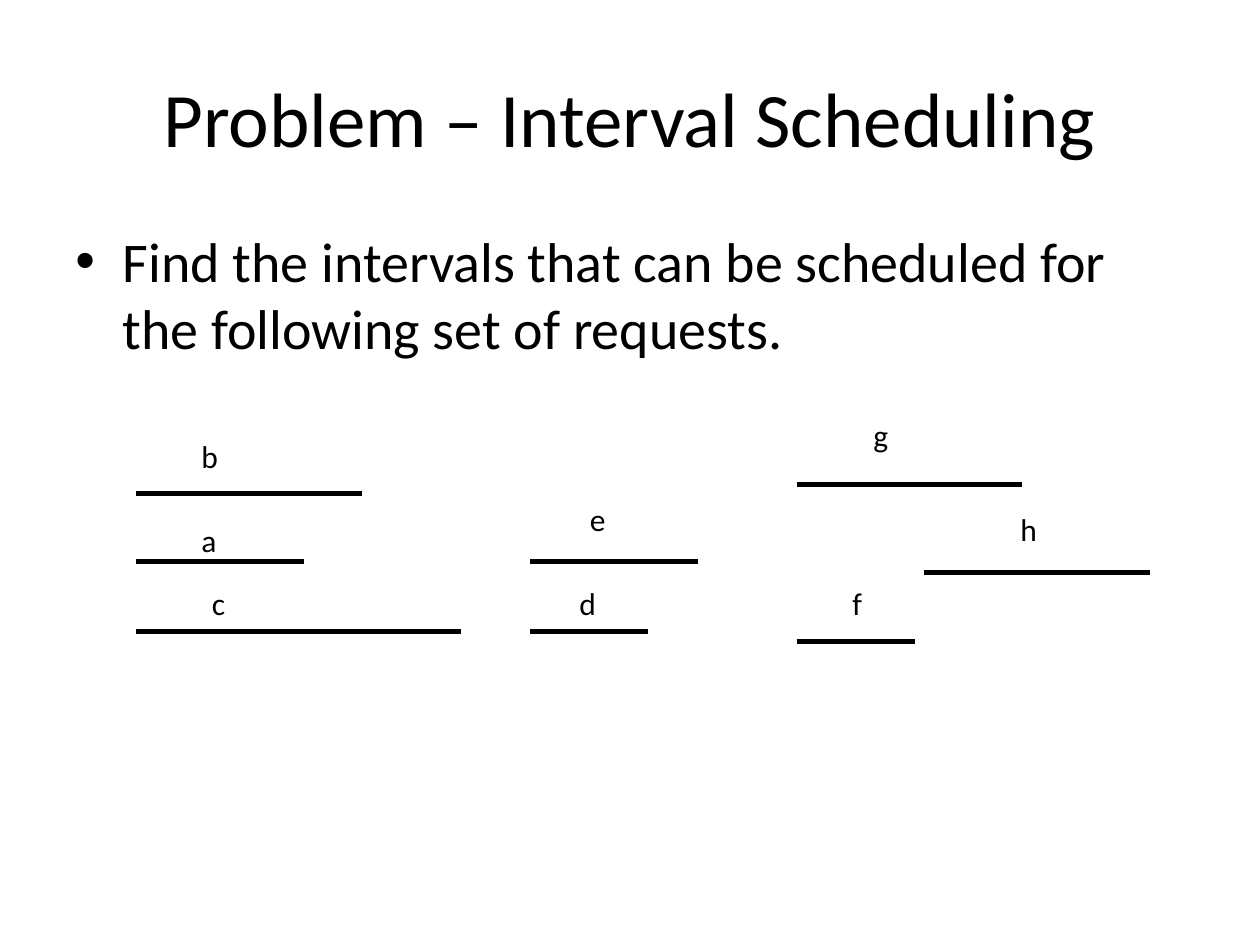
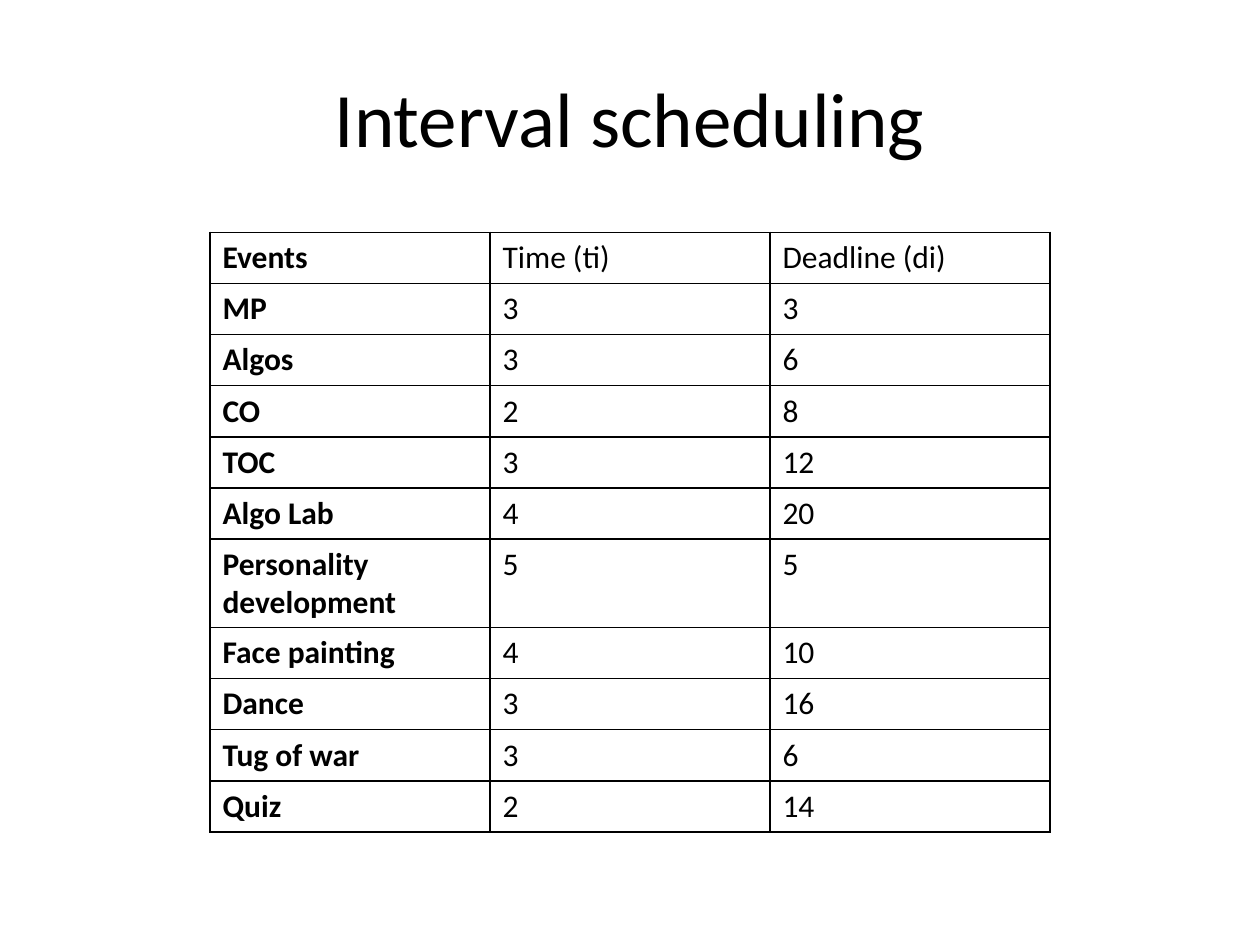
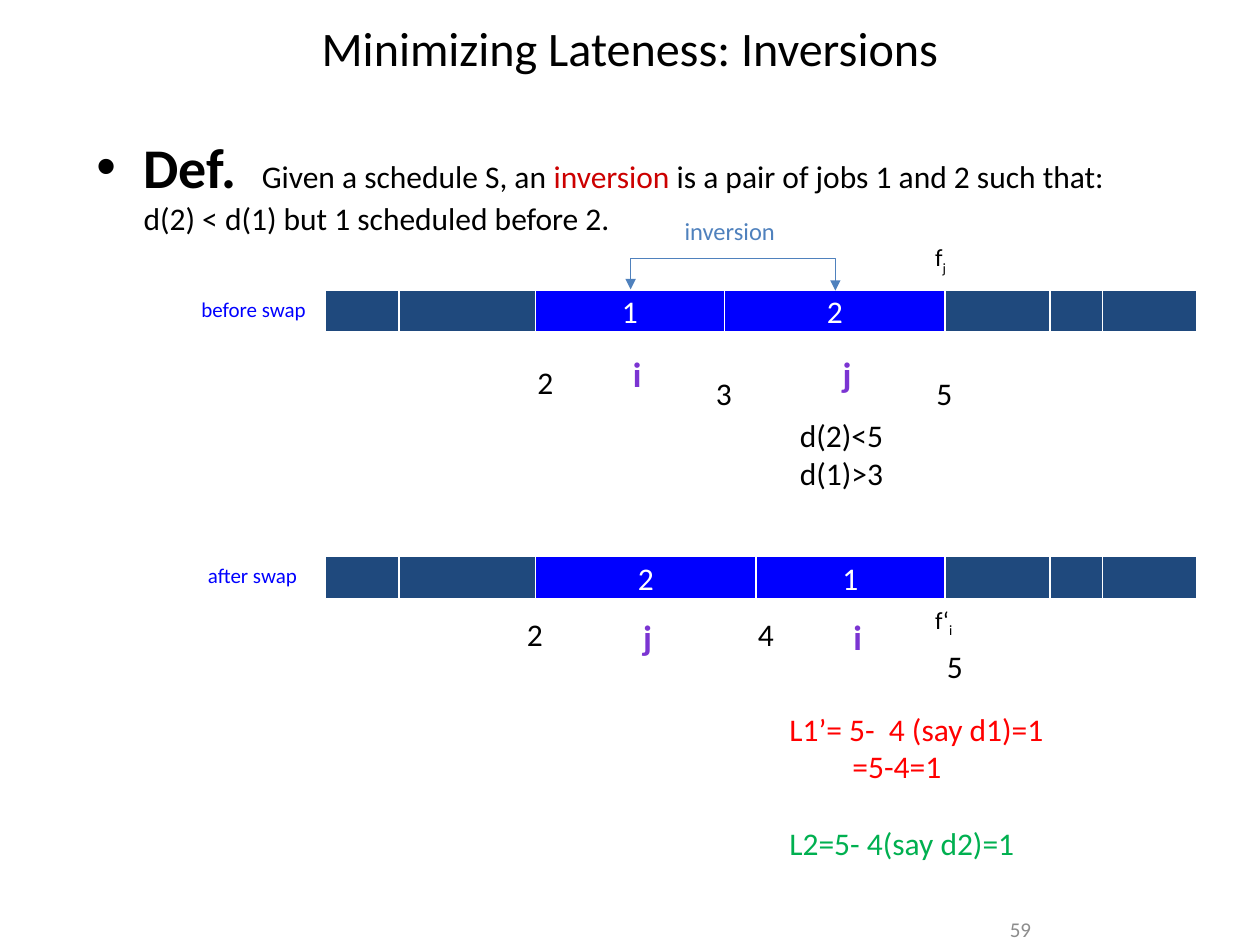
from lxml.etree import SubElement
from pptx import Presentation
from pptx.dml.color import RGBColor
from pptx.enum.shapes import MSO_CONNECTOR, MSO_SHAPE
from pptx.enum.text import MSO_ANCHOR, MSO_AUTO_SIZE, PP_ALIGN
from pptx.oxml.ns import qn
from pptx.util import Pt

PX = 9525
FONT = "Calibri"
BLACK, WHITE, GRAY = "000000", "FFFFFF", "8C8C8C"
NAVY, BLUE, STEEL = "1F497D", "0000FF", "4F81BD"
RED, DARK_RED, GREEN, PURPLE = "FF0000", "CC0000", "00B050", "7B34D2"
rgb = RGBColor.from_string
TITLE = {"size": 44, "align": PP_ALIGN.CENTER}
TITLE_BOX = (48, 29, 864, 120)


def write(tf, paragraphs, size=18, color=BLACK, bold=False, align=PP_ALIGN.LEFT, bullet=False):
    for i, runs in enumerate(paragraphs):
        p = tf.paragraphs[0] if i == 0 else tf.add_paragraph()
        p.alignment = align
        if bullet:
            pPr = p._p.get_or_add_pPr()
            pPr.set("marL", str(36 * PX))
            pPr.set("indent", str(-36 * PX))
            SubElement(pPr, qn("a:buFont")).set("typeface", "Arial")
            SubElement(pPr, qn("a:buChar")).set("char", "•")
        for text, own in [(runs, {})] if isinstance(runs, str) else runs:
            fmt = {"size": size, "color": color, "bold": bold, **own}
            for j, part in enumerate(text.split("\n")):
                if j:
                    p.add_line_break()
                r = p.add_run()
                r.text = part
                for name, value in {"name": FONT, "size": Pt(fmt["size"]), "bold": fmt["bold"]}.items():
                    setattr(r.font, name, value)
                r.font.color.rgb = rgb(fmt["color"])
                if "baseline" in fmt:
                    r._r.get_or_add_rPr().set("baseline", str(fmt["baseline"]))


def add_text(s, box, paragraphs, wrap=True, anchor=MSO_ANCHOR.TOP, **fmt):
    tf = s.shapes.add_textbox(*[v * PX for v in box]).text_frame
    tf.word_wrap = wrap
    tf.vertical_anchor = anchor
    if not wrap:
        tf.auto_size = MSO_AUTO_SIZE.SHAPE_TO_FIT_TEXT
    write(tf, paragraphs, **fmt)
    return tf


prs = Presentation()
prs.slide_width, prs.slide_height = 960 * PX, 720 * PX
blank = prs.slide_layouts[6]

s = prs.slides.add_slide(blank)
add_text(s, TITLE_BOX, ["Problem – Interval Scheduling"], anchor=MSO_ANCHOR.MIDDLE, **TITLE)
add_text(s, (48, 168, 864, 475),
         ["Find the intervals that can be scheduled for the following set of requests."],
         size=32, bullet=True)
intervals = [
    ("a", 104, 232, 428, 144, 392),
    ("b", 104, 276, 376, 144, 328),
    ("c", 104, 351, 481, 152, 440),
    ("d", 404, 494, 481, 432, 440),
    ("e", 404, 532, 428, 440, 376),
    ("f", 607, 697, 489, 640, 440),
    ("g", 607, 779, 369, 656, 312),
    ("h", 704, 876, 436, 768, 384),
]
for name, start, finish, y, label_x, label_y in intervals:
    line = s.shapes.add_connector(MSO_CONNECTOR.STRAIGHT, start * PX, y * PX, finish * PX, y * PX)
    line.line.color.rgb = rgb(BLACK)
    line.line.width = Pt(3)
    SubElement(line._element.spPr, qn("a:effectLst"))
    add_text(s, (label_x, label_y, 32, 38), [name], wrap=False)

s = prs.slides.add_slide(blank)
add_text(s, TITLE_BOX, ["Interval scheduling"], anchor=MSO_ANCHOR.MIDDLE, **TITLE)
events = [
    ("Events", "Time (ti)", "Deadline (di)"),
    ("MP", 3, 3),
    ("Algos", 3, 6),
    ("CO", 2, 8),
    ("TOC", 3, 12),
    ("Algo Lab", 4, 20),
    ("Personality development", 5, 5),
    ("Face painting", 4, 10),
    ("Dance", 3, 16),
    ("Tug of war", 3, 6),
    ("Quiz", 2, 14),
]
table = s.shapes.add_table(len(events), 3, 160 * PX, 177 * PX, 640 * PX, 39 * len(events) * PX).table
table.first_row = table.horz_banding = False
for i, event in enumerate(events):
    for j, value in enumerate(event):
        cell = table.cell(i, j)
        tcPr = cell._tc.get_or_add_tcPr()
        for side in ("a:lnL", "a:lnR", "a:lnT", "a:lnB"):
            ln = SubElement(tcPr, qn(side), w=str(Pt(1)))
            SubElement(SubElement(ln, qn("a:solidFill")), qn("a:srgbClr")).set("val", BLACK)
        cell.fill.background()
        write(cell.text_frame, [str(value)], bold=j == 0)

s = prs.slides.add_slide(blank)
add_text(s, (760, 696, 200, 24), ["59"], anchor=MSO_ANCHOR.MIDDLE, size=12, color=GRAY)
tf = add_text(s, (0, 16, 960, 48), ["Minimizing Lateness: Inversions"],
              anchor=MSO_ANCHOR.MIDDLE, size=27.5, align=PP_ALIGN.CENTER)
tf.paragraphs[0].line_spacing = 0.8
add_text(s, (64, 96, 824, 568), [[
    ("Def.  ", {"size": 32, "bold": True}),
    ("Given a schedule S, an ", {}),
    ("inversion", {"color": DARK_RED}),
    (" is a pair of jobs 1 and 2 such that:\nd(2) < d(1) but 1 scheduled before 2.", {}),
]], bullet=True)

job_widths = {"1": 144, "2": 168}
for y, order in ((221, "12"), (424, "21")):
    x = 248
    jobs = [("", 56), ("", 104), *[(n, job_widths[n]) for n in order], ("", 80), ("", 40), ("", 72)]
    for name, width in jobs:
        sp = s.shapes.add_shape(MSO_SHAPE.RECTANGLE, x * PX, y * PX, width * PX, 32 * PX)
        sp.shadow.inherit = False
        sp.fill.solid()
        sp.fill.fore_color.rgb = rgb(BLUE if name else NAVY)
        sp.line.color.rgb = rgb(WHITE)
        sp.line.width = Pt(0.75)
        if name:
            sp.text_frame.word_wrap = False
            write(sp.text_frame, [name], color=WHITE, align=PP_ALIGN.CENTER)
        x += width

for x, y, label in ((144, 221, "before swap"), (149, 424, "after swap")):
    add_text(s, (x, y, 110, 29), [label], wrap=False, size=12, color=BLUE)
for x, y, finish, job in ((703, 456, "f‘", "i"), (703, 180, "f", "j")):
    add_text(s, (x, y, 32, 33), [[(finish, {}), (job, {"baseline": -25000})]], wrap=False, size=14)
add_text(s, (472, 160, 168, 32), ["inversion"], size=14, color=STEEL, align=PP_ALIGN.CENTER)

bracket = s.shapes.add_connector(MSO_CONNECTOR.ELBOW, 558 * PX, 299 * PX, 559 * PX, 143 * PX)
bracket.line.color.rgb = rgb(STEEL)
bracket.line.width = Pt(0.75)
spPr = bracket._element.spPr
spPr.find(qn("a:xfrm")).set("rot", "5400000")
SubElement(spPr.find(qn("a:prstGeom")).find(qn("a:avLst")), qn("a:gd"), name="adj1", fmla="val -2400000")
ln = spPr.find(qn("a:ln"))
for end in ("a:headEnd", "a:tailEnd"):
    SubElement(ln, qn(end), type="triangle")
SubElement(spPr, qn("a:effectLst"))

times = [(400, 272, "2"), (536, 280, "3"), (704, 280, "5"),
         (392, 464, "2"), (568, 464, "4"), (712, 488, "5")]
for x, y, time in times:
    add_text(s, (x, y, 32, 38), [time], wrap=False)
add_text(s, (600, 312, 120, 68), ["d(2)<5", "d(1)>3"])
tf = add_text(s, (592, 536, 216, 156),
              ["L1’= 5-  4 (say d1)=1", "\t=5-4=1", [("L2=5- 4(say d2)=1", {"color": GREEN})]],
              wrap=False, color=RED)
tf.paragraphs[2].space_before = Pt(22)
for x, y, job in ((472, 264, "i"), (632, 264, "j"), (480, 464, "j"), (640, 464, "i")):
    add_text(s, (x, y, 27, 42), [job], wrap=False, size=20, color=PURPLE, bold=True, align=PP_ALIGN.CENTER)

prs.save("out.pptx")
